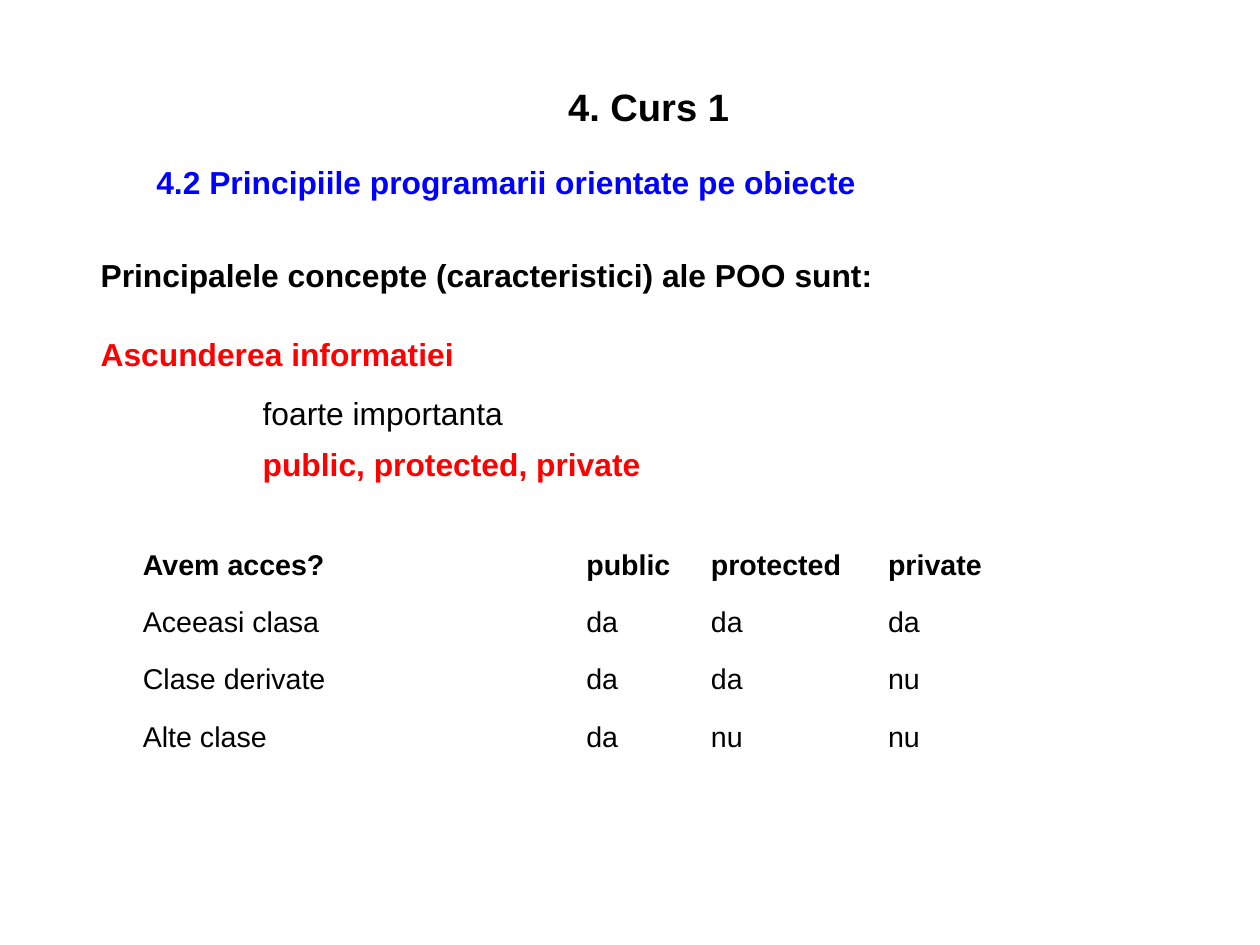
"""Build the slide on information hiding and access levels in OOP."""
from pptx import Presentation
from pptx.dml.color import RGBColor
from pptx.enum.text import MSO_ANCHOR as Anchor, MSO_AUTO_SIZE as AutoSize, PP_ALIGN as Align
from pptx.oxml import parse_xml
from pptx.oxml.ns import nsdecls
from pptx.util import Inches, Pt

BLACK = RGBColor(0x00, 0x00, 0x00)
BLUE = RGBColor(0x00, 0x00, 0xFF)
RED = RGBColor(0xFF, 0x00, 0x00)

TITLE = [("4. Curs 1", BLACK, True)]
HEADING = [("4.2 Principiile programarii orientate pe obiecte", BLUE, True)]
CONCEPTS = [
    ("Principalele concepte (caracteristici) ale POO sunt:", BLACK, True),
    ("Ascunderea informatiei", RED, True),
]
DETAILS = [
    ("foarte importanta", BLACK, False),
    ("public, protected, private", RED, True),
]
ACCESS = [
    ("Avem acces?", "public", "protected", "private"),
    ("Aceeasi clasa", "da", "da", "da"),
    ("Clase derivate", "da", "da", "nu"),
    ("Alte clase", "da", "nu", "nu"),
]
MM_PER_INCH = 25.4
SLIDE_WIDTH_MM, SLIDE_HEIGHT_MM = 280, 210
COLUMN_WIDTHS = (3.88, 1.09, 1.55, 1.22)
TABLE_HEIGHT = 2.01


def set_format(target, values):
    """Set each named attribute on the target."""
    for name, value in values.items():
        setattr(target, name, value)


def write_lines(frame, lines, size, spacing=1.0, gap=0, align=Align.LEFT):
    """Write formatted lines as paragraphs, with a gap between them."""
    for index, (text, color, bold) in enumerate(lines):
        paragraph = frame.add_paragraph() if index else frame.paragraphs[0]
        set_format(paragraph, {
            "alignment": align, "line_spacing": spacing,
            "space_before": Pt(gap if index else 0), "space_after": Pt(0),
        })
        run = paragraph.add_run()
        run.text = text
        set_format(run.font, {"name": "Arial", "size": Pt(size), "bold": bold})
        run.font.color.rgb = color


def place_frame(shape, box, inset_x=0.1, inset_y=0.05, anchor=Anchor.TOP):
    """Place a text shape and return its prepared text frame."""
    set_format(shape, dict(zip(("left", "top", "width", "height"), map(Inches, box))))
    frame = shape.text_frame
    set_format(frame, {
        "word_wrap": True, "auto_size": AutoSize.NONE, "vertical_anchor": anchor,
        "margin_left": Inches(inset_x), "margin_right": Inches(inset_x),
        "margin_top": Inches(inset_y), "margin_bottom": Inches(inset_y),
    })
    return frame


def set_indent(frame, left, first):
    """Set the indents of every paragraph and turn its bullet off."""
    for paragraph in frame.paragraphs:
        properties = paragraph._p.get_or_add_pPr()
        properties.set("marL", str(Inches(left)))
        properties.set("indent", str(Inches(first)))
        properties.append(parse_xml(f"<a:buNone {nsdecls('a')}/>"))


def add_text(slide, box):
    """Add a text box and return its text frame."""
    return place_frame(slide.shapes.add_textbox(*map(Inches, box)), box)


def add_access_table(slide):
    """Add the table of access rights."""
    table = slide.shapes.add_table(
        len(ACCESS), len(COLUMN_WIDTHS), Inches(1.15), Inches(4.69),
        Inches(sum(COLUMN_WIDTHS)), Inches(TABLE_HEIGHT)).table
    set_format(table, {"first_row": False, "horz_banding": False})
    for column, width in zip(table.columns, COLUMN_WIDTHS):
        column.width = Inches(width)
    for row_index, texts in enumerate(ACCESS):
        table.rows[row_index].height = Inches(TABLE_HEIGHT / len(ACCESS))
        for column_index, text in enumerate(texts):
            cell = table.cell(row_index, column_index)
            cell.fill.background()
            set_format(cell, {
                "vertical_anchor": Anchor.MIDDLE,
                "margin_top": Inches(0.08), "margin_bottom": Inches(0.05),
            })
            write_lines(cell.text_frame, [(text, BLACK, row_index == 0)], 18, 0.89)


def main():
    """Build and save the presentation."""
    presentation = Presentation()
    presentation.slide_width = Inches(SLIDE_WIDTH_MM / MM_PER_INCH)
    presentation.slide_height = Inches(SLIDE_HEIGHT_MM / MM_PER_INCH)
    slide = presentation.slides.add_slide(presentation.slide_layouts[1])

    title = place_frame(slide.shapes.title, (4.26, 0.72, 2.83, 0.42), 0, 0.01)
    write_lines(title, TITLE, 24, align=Align.CENTER)

    heading = add_text(slide, (0.26, 1.21, 9.24, 0.5))
    write_lines(heading, HEADING, 20, spacing=1.5)
    set_indent(heading, 1.25, -0.24)

    concepts = place_frame(slide.placeholders[1], (0.78, 2.17, 9.57, 1.82))
    write_lines(concepts, CONCEPTS, 20, spacing=1.04, gap=25)
    set_indent(concepts, 0, 0)

    details = add_text(slide, (2.2, 3.4, 5.6, 1))
    write_lines(details, DETAILS, 20, gap=8)

    add_access_table(slide)
    presentation.save("out.pptx")


if __name__ == "__main__":
    main()
